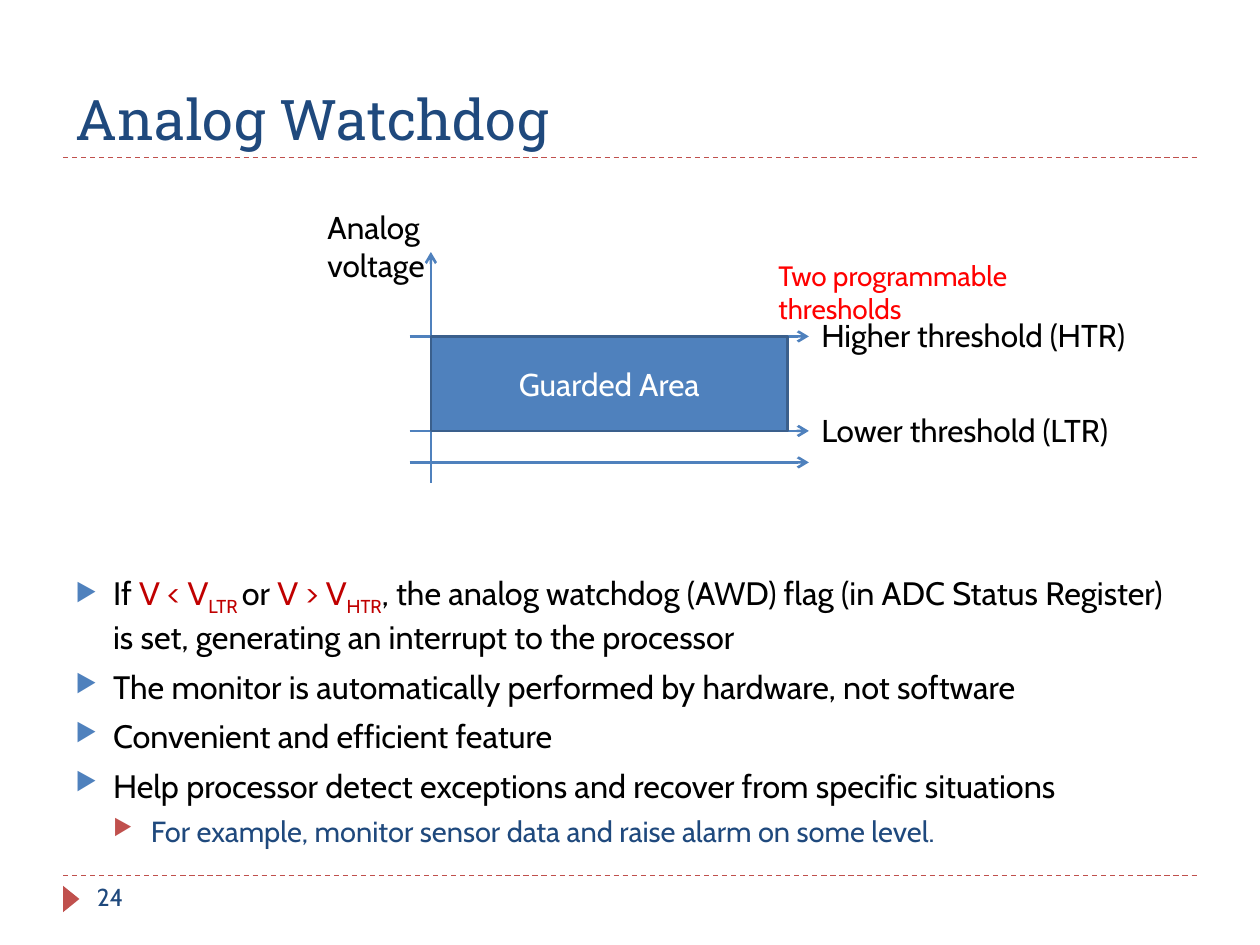
from dataclasses import dataclass

from lxml import etree
from pptx import Presentation
from pptx import util as u
from pptx.dml.color import RGBColor
from pptx.enum import dml, shapes, text
from pptx.oxml import ns

SCALE = 9144


@dataclass(frozen=True)
class Theme:
    """Colours, fonts and type sizes of the slide."""
    navy: str = "1F497D"
    blue: str = "4F81BD"
    dark_blue: str = "3A5F8C"
    red: str = "C0504D"
    formula: str = "C00000"
    alert: str = "FF0000"
    black: str = "000000"
    white: str = "FFFFFF"
    heading_font: str = "Roboto Slab"
    body_font: str = "Cabin"
    title: float = 32
    bullet: float = 18.5
    sub_bullet: float = 16.6
    label: float = 18
    note: float = 16
    number: float = 14


THEME = Theme()


def px(value):
    """Turn px into EMU."""
    return u.Emu(value * SCALE)


def colour(value):
    """Turn a hex value into a colour."""
    return RGBColor.from_string(value)


def set_font(font, size, value, name=THEME.body_font):
    """Set size, colour and typeface."""
    font.size = u.Pt(size)
    font.color.rgb = colour(value)
    font.name = name


def add_text(slide, box, content, size, value, name=THEME.body_font, anchor=text.MSO_ANCHOR.TOP):
    """Add a wrapping text box with one style."""
    frame = slide.shapes.add_textbox(*map(px, box)).text_frame
    frame.word_wrap = True
    frame.vertical_anchor = anchor
    frame.text = content
    for run in frame.paragraphs[0].runs:
        set_font(run.font, size, value, name)
    return frame


def add_line(slide, start, end, value, width, dashed=False, arrow=False):
    """Add a straight line, optionally dashed or with an arrowhead."""
    line = slide.shapes.add_connector(shapes.MSO_CONNECTOR.STRAIGHT, *map(px, start + end))
    line.line.color.rgb = colour(value)
    line.line.width = u.Pt(width)
    if dashed:
        line.line.dash_style = dml.MSO_LINE.DASH
    if arrow:
        outline = line.line._get_or_add_ln()
        etree.SubElement(outline, ns.qn("a:tailEnd"), type="arrow")
    etree.SubElement(line._element.spPr, ns.qn("a:effectLst"))


def add_filled(slide, kind, box, fill):
    """Add a preset shape with a plain fill and no line."""
    shape = slide.shapes.add_shape(kind, *map(px, box))
    shape.shadow.inherit = False
    shape.fill.solid()
    shape.fill.fore_color.rgb = colour(fill)
    shape.line.fill.background()
    return shape


def add_header(slide, box):
    """Add the title above its dashed rule."""
    left, top, width, height = box
    bottom = top + height
    add_line(slide, (left, bottom), (left + width, bottom), THEME.red, 0.75, dashed=True)
    add_text(slide, box, "Analog Watchdog", THEME.title, THEME.navy,
             THEME.heading_font, text.MSO_ANCHOR.BOTTOM)


def add_footer(slide, box):
    """Add the dashed rule, the marker and the slide number."""
    left, top, width, height = box
    add_line(slide, (left, top), (left + width, top), THEME.red, 0.75, dashed=True)
    marker = add_filled(slide, shapes.MSO_SHAPE.ISOSCELES_TRIANGLE,
                        (left - 4, top + 12, 21, 13), THEME.red)
    marker.rotation = 90
    add_text(slide, (left + 17, top, 217, height), "24", THEME.number, THEME.navy)


def add_chart_sketch(slide, box):
    """Add the voltage axes, both thresholds and the guarded area."""
    left, top, width, height = box
    axis = left + 92
    high, low, base = top + 107, top + 182, top + 207
    end = left + 392
    for level in (base, low, high):
        add_line(slide, (axis - 17, level), (end, level), THEME.blue, 1.5, arrow=True)
    add_line(slide, (axis, top + height), (axis, top + 40), THEME.blue, 1.5, arrow=True)

    area = add_filled(slide, shapes.MSO_SHAPE.RECTANGLE,
                      (axis, high, 283, low - high), THEME.blue)
    area.line.color.rgb = colour(THEME.dark_blue)
    area.line.width = u.Pt(1.5)
    area.text_frame.text = "Guarded Area"
    area.text_frame.vertical_anchor = text.MSO_ANCHOR.MIDDLE
    paragraph = area.text_frame.paragraphs[0]
    paragraph.alignment = text.PP_ALIGN.CENTER
    set_font(paragraph.runs[0].font, THEME.label, THEME.white)

    labels = [
        ((left, top, 169, 40), "Analog voltage", THEME.label, THEME.black),
        ((end, high - 21, 266, 40), "Higher threshold (HTR)", THEME.label, THEME.black),
        ((end, low - 21, 254, 40), "Lower threshold (LTR)", THEME.label, THEME.black),
        ((left + 358, top + 40, 298, 37), "Two programmable thresholds", THEME.note, THEME.alert),
    ]
    for label in labels:
        add_text(slide, *label)


def set_bullet(paragraph, level, value):
    """Give a paragraph its level, hanging indent and triangle bullet."""
    paragraph.level = level
    properties = paragraph._p.get_or_add_pPr()
    properties.set("marL", str(px(30 * (level + 1))))
    properties.set("indent", str(px(-30)))
    bullet_colour = etree.SubElement(properties, ns.qn("a:buClr"))
    etree.SubElement(bullet_colour, ns.qn("a:srgbClr"), val=value)
    etree.SubElement(properties, ns.qn("a:buSzPct"), val="76000")
    etree.SubElement(properties, ns.qn("a:buChar"), char="▶")


def add_bullets(slide, box):
    """Add the bullet list, with subscripts in the first item."""
    condition = [
        ("If ", THEME.black, False),
        ("V < V", THEME.formula, False),
        ("LTR ", THEME.formula, True),
        ("or ", THEME.black, False),
        ("V > V", THEME.formula, False),
        ("HTR", THEME.formula, True),
        (", the analog watchdog (AWD) flag (in ADC Status Register) is set, "
         "generating an interrupt to the processor", THEME.black, False),
    ]
    plain = [
        "The monitor is automatically performed by hardware, not software",
        "Convenient and efficient feature",
        "Help processor detect exceptions and recover from specific situations",
    ]
    example = "For example, monitor sensor data and raise alarm on some level."
    items = [(0, condition)]
    items += [(0, [(line, THEME.black, False)]) for line in plain]
    items.append((1, [(example, THEME.navy, False)]))

    frame = slide.shapes.add_textbox(*map(px, box)).text_frame
    frame.word_wrap = True
    for index, (level, parts) in enumerate(items):
        paragraph = frame.add_paragraph() if index else frame.paragraphs[0]
        set_bullet(paragraph, level, THEME.red if level else THEME.blue)
        if index:
            paragraph.space_before = u.Pt(6 - level)
        for content, value, subscript in parts:
            run = paragraph.add_run()
            run.text = content
            set_font(run.font, THEME.sub_bullet if level else THEME.bullet, value)
            if subscript:
                run._r.get_or_add_rPr().set("baseline", "-25000")


def main():
    """Build and save the slide."""
    presentation = Presentation()
    presentation.slide_width = px(1000)
    presentation.slide_height = px(750)
    slide = presentation.slides.add_slide(presentation.slide_layouts[6])
    add_header(slide, (50, 17, 900, 108))
    add_footer(slide, (50, 695, 900, 40))
    add_bullets(slide, (50, 450, 900, 198))
    add_chart_sketch(slide, (250, 160, 658, 223))
    presentation.save("out.pptx")


if __name__ == "__main__":
    main()
